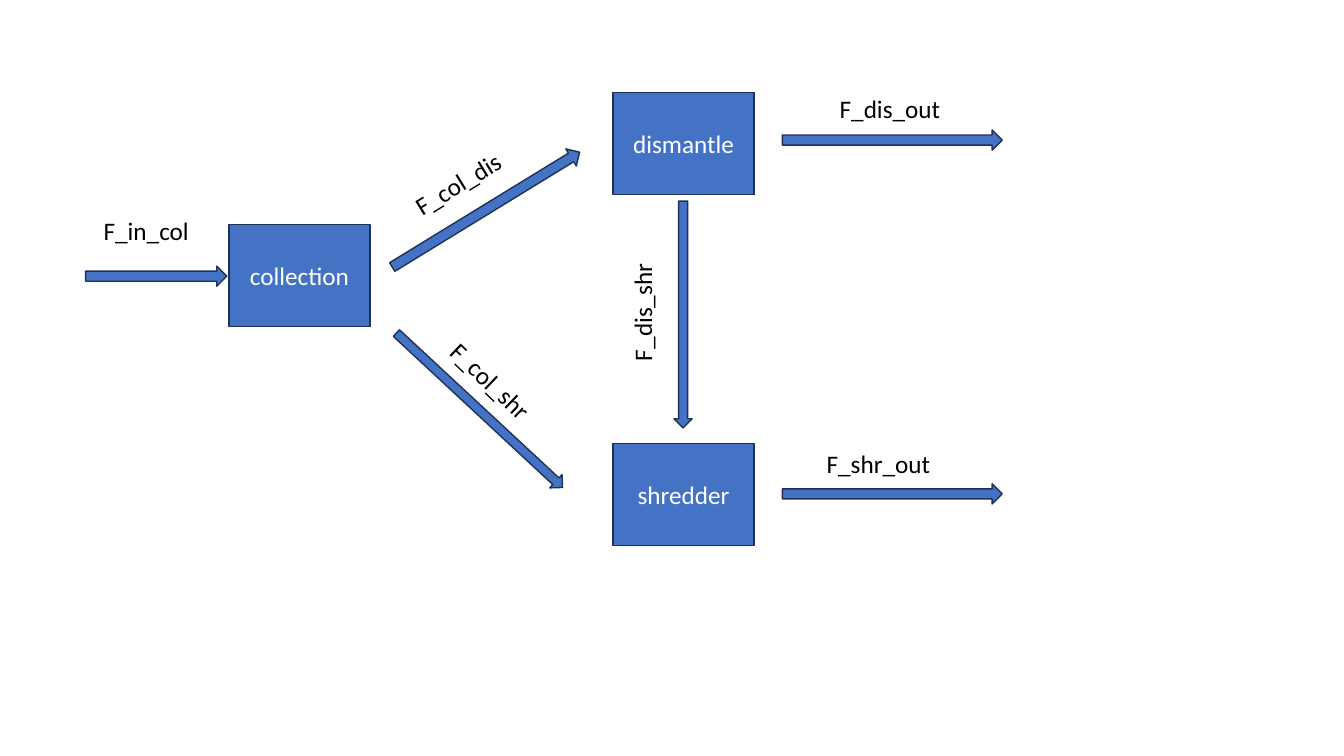
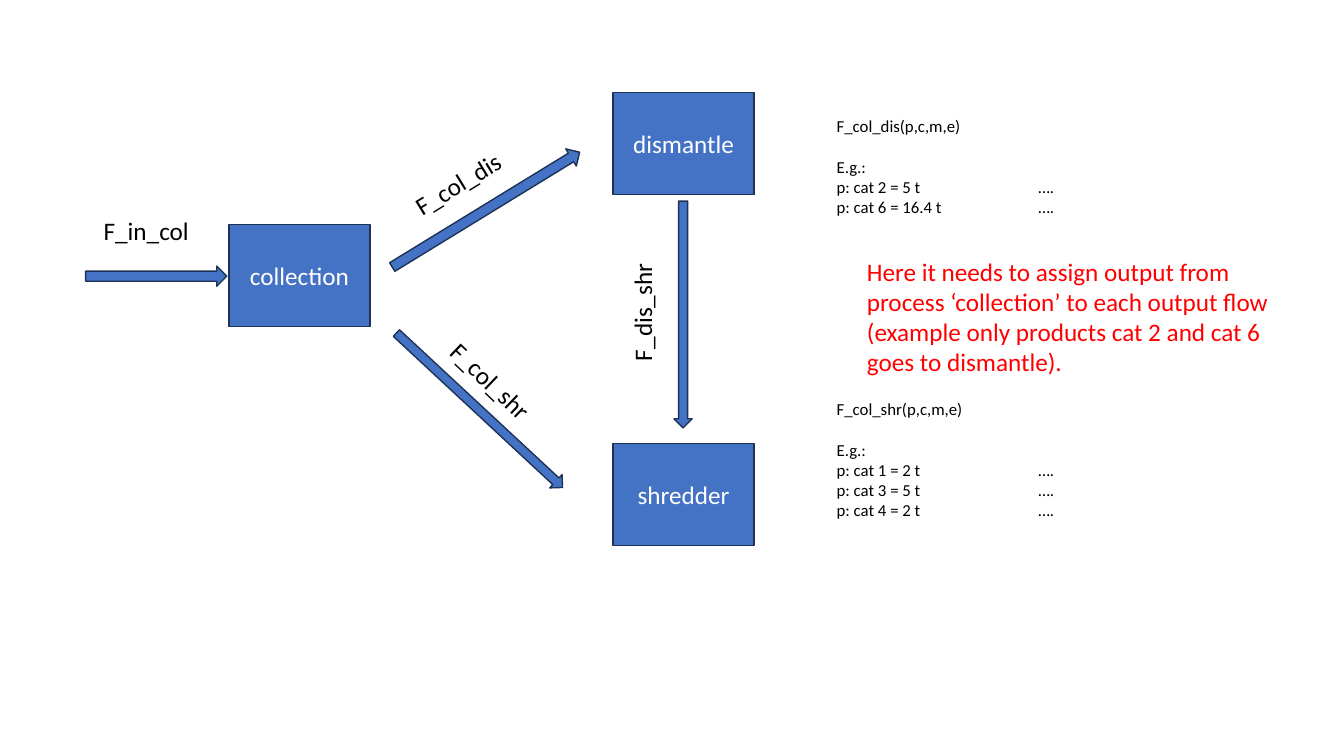
from lxml import etree
from pptx import Presentation
from pptx.dml.color import RGBColor
from pptx.enum.shapes import MSO_SHAPE
from pptx.enum.text import MSO_ANCHOR, MSO_AUTO_SIZE, PP_ALIGN
from pptx.oxml.ns import qn
from pptx.util import Inches, Pt

RECTANGLE, ARROW = MSO_SHAPE.RECTANGLE, MSO_SHAPE.RIGHT_ARROW
MIDDLE, TOP = MSO_ANCHOR.MIDDLE, MSO_ANCHOR.TOP
LEFT, CENTER = PP_ALIGN.LEFT, PP_ALIGN.CENTER
FIT_SHAPE = MSO_AUTO_SIZE.SHAPE_TO_FIT_TEXT

BLUE = RGBColor(0x44, 0x72, 0xC4)
NAVY = RGBColor(0x1E, 0x32, 0x56)
WHITE = RGBColor(0xFF, 0xFF, 0xFF)
BLACK = RGBColor(0, 0, 0)
RED = RGBColor(0xFF, 0, 0)
FONT = "Calibri"

# Processes: name, left, top
PROCESS_SIZE = (1.4, 1.01)
PROCESSES = [
    ("collection", 2.27, 2.23),
    ("dismantle", 6.08, 0.92),
    ("shredder", 6.08, 4.4),
]

# Flows: label, (label left, top, rotation), (arrow left, top, width, height, rotation)
LABEL_SIZE = (1.26, 0.4)
INNER_FLOWS = [
    ("F_in_col", (0.93, 2.09, 0), (0.85, 2.64, 1.4, 0.2, 0)),
    ("F_col_dis", (3.96, 1.59, 328.4), (3.73, 1.98, 2.18, 0.2, 328.5)),
    ("F_col_shr", (4.27, 3.61, 43.7), (3.63, 3.98, 2.25, 0.18, 42.9)),
    ("F_dis_shr", (5.74, 2.85, 270), (5.65, 3.03, 2.25, 0.18, 90)),
]
OUTPUT_FLOWS = [
    ("F_dis_out", (8.23, 0.88, 0), (7.76, 1.29, 2.18, 0.2, 0)),
    ("F_shr_out", (8.1, 4.4, 0), (7.76, 4.8, 2.18, 0.2, 0)),
]

# Worked examples: top, height, lines
EXAMPLE_LEFT, EXAMPLE_WIDTH, EXAMPLE_TAB = 8.2, 4.5, 2.0
EXAMPLE_HEADING_GAP = 14.6
EXAMPLES = [
    (1.1, 1.12, ["F_col_dis(p,c,m,e)", "E.g.:",
                 "p: cat 2 = 5 t\t….", "p: cat 6 = 16.4 t\t…."]),
    (3.91, 1.32, ["F_col_shr(p,c,m,e)", "E.g.:", "p: cat 1 = 2 t\t….",
                  "p: cat 3 = 5 t\t….", "p: cat 4 = 2 t\t…."]),
]
REMARK = ("Here it needs to assign output from process ‘collection’ to each "
          "output flow (example only products cat 2 and cat 6 goes to dismantle).")


def write(shape, lines, size=18, color=BLACK, align=LEFT, anchor=TOP,
          second_gap=0, tab=None):
    frame = shape.text_frame
    frame.word_wrap = True
    frame.vertical_anchor = anchor
    for index, line in enumerate(lines):
        paragraph = frame.add_paragraph() if index else frame.paragraphs[0]
        if tab:
            tabs = etree.SubElement(paragraph._p.get_or_add_pPr(), qn("a:tabLst"))
            etree.SubElement(tabs, qn("a:tab"), pos=str(Inches(tab)), algn="l")
        paragraph.alignment = align
        if index == 1 and second_gap:
            paragraph.space_before = Pt(second_gap)
        run = paragraph.add_run()
        run.text = line
        run.font.name, run.font.size = FONT, Pt(size)
        run.font.color.rgb = color


def add_block(slide, preset, left, top, width, height, rotation=0):
    block = slide.shapes.add_shape(
        preset, Inches(left), Inches(top), Inches(width), Inches(height))
    block.rotation = rotation
    block.shadow.inherit = False
    block.fill.solid()
    block.fill.fore_color.rgb = BLUE
    block.line.color.rgb = NAVY
    block.line.width = Pt(1)
    return block


def add_text(slide, lines, left, top, width, height, rotation=0, **text_format):
    box = slide.shapes.add_textbox(
        Inches(left), Inches(top), Inches(width), Inches(height))
    box.rotation = rotation
    write(box, lines, **text_format)
    box.text_frame.auto_size = FIT_SHAPE


def add_flow_diagram(prs, flows):
    slide = prs.slides.add_slide(prs.slide_layouts[6])
    for name, left, top in PROCESSES:
        process = add_block(slide, RECTANGLE, left, top, *PROCESS_SIZE)
        write(process, [name], color=WHITE, align=CENTER, anchor=MIDDLE)
    for label, (left, top, rotation), arrow in flows:
        add_block(slide, ARROW, *arrow)
        add_text(slide, [label], left, top, *LABEL_SIZE, rotation)
    return slide


def main():
    prs = Presentation()
    prs.slide_width, prs.slide_height = Inches(13.33), Inches(7.5)

    # Complete system with its outputs
    add_flow_diagram(prs, INNER_FLOWS + OUTPUT_FLOWS)

    # Splitting the collection output
    split = add_flow_diagram(prs, INNER_FLOWS)
    for top, height, lines in EXAMPLES:
        add_text(split, lines, EXAMPLE_LEFT, top, EXAMPLE_WIDTH, height,
                 size=12, second_gap=EXAMPLE_HEADING_GAP, tab=EXAMPLE_TAB)
    add_text(split, [REMARK], 8.5, 2.49, 4.43, 1.31, color=RED)

    prs.save("out.pptx")


if __name__ == "__main__":
    main()
